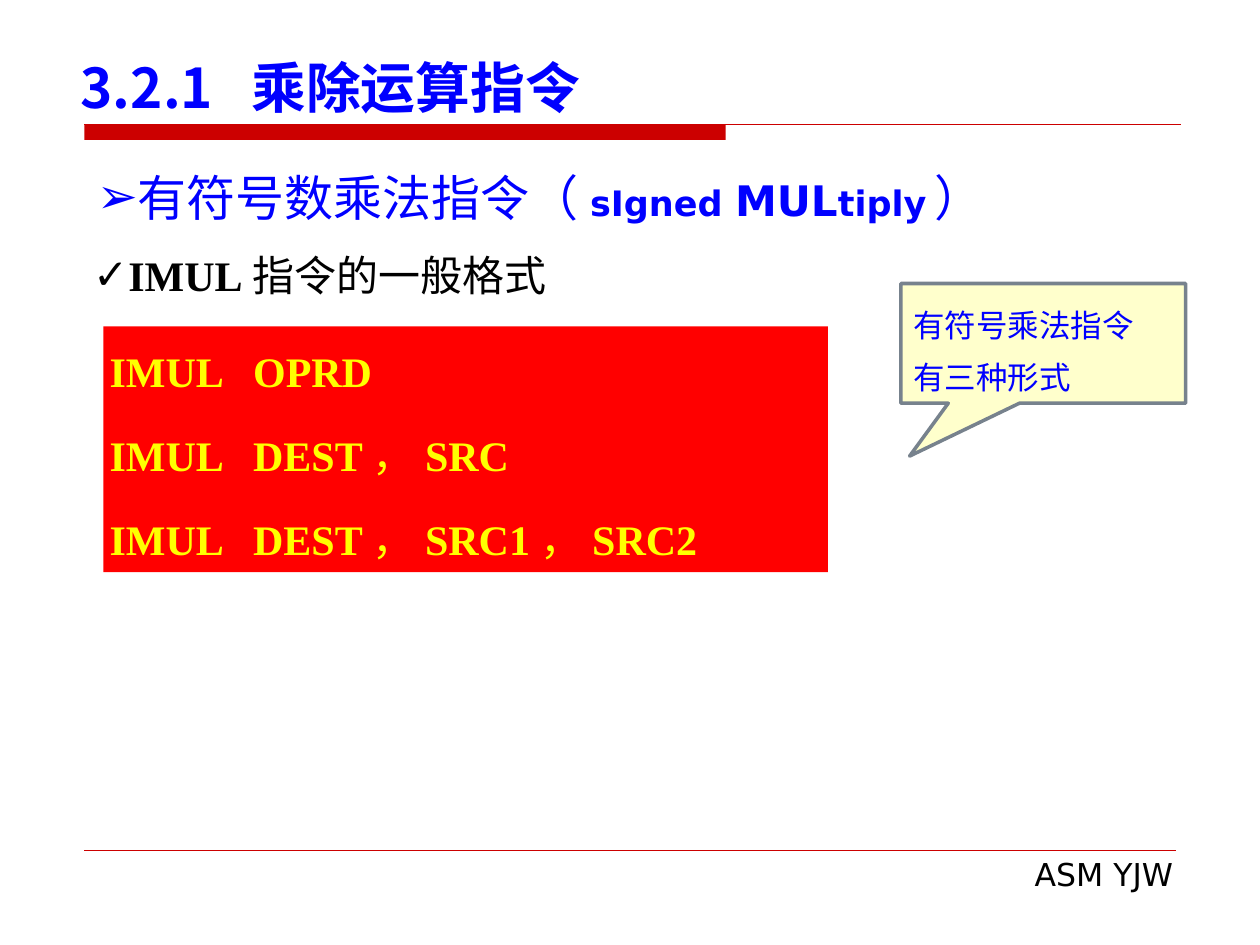
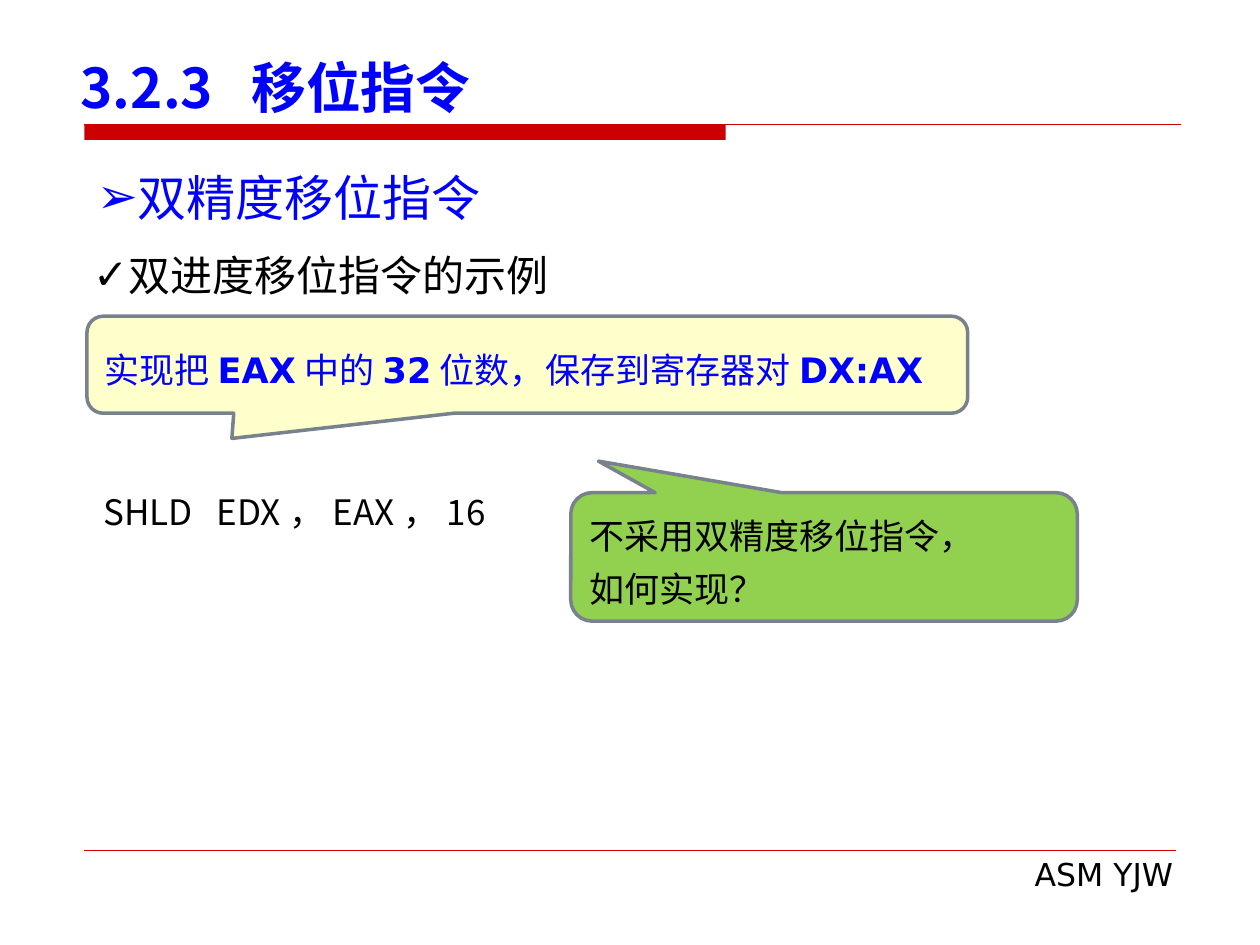
import dataclasses

import pptx
import pptx.dml.color
import pptx.enum.shapes
import pptx.enum.text
import pptx.oxml.ns
import pptx.util
from lxml import etree

Inches = pptx.util.Inches
Pt = pptx.util.Pt
RGBColor = pptx.dml.color.RGBColor
MSO_SHAPE = pptx.enum.shapes.MSO_SHAPE
MSO_ANCHOR = pptx.enum.text.MSO_ANCHOR
PP_ALIGN = pptx.enum.text.PP_ALIGN
qn = pptx.oxml.ns.qn

BLUE = RGBColor(0x00, 0x00, 0xFF)
BLACK = RGBColor(0x00, 0x00, 0x00)
DARK_RED = RGBColor(0xCC, 0x00, 0x00)
RED = RGBColor(0xFF, 0x00, 0x00)
YELLOW = RGBColor(0xFF, 0xFF, 0x00)
CREAM = RGBColor(0xFF, 0xFF, 0xCC)
GREEN = RGBColor(0x92, 0xD0, 0x50)
GREY = RGBColor(0x77, 0x82, 0x8D)

CJK = "Noto Sans CJK SC"
SANS = "DejaVu Sans"
SERIF = "Times New Roman"


@dataclasses.dataclass
class Span:
    text: str
    face: str = CJK
    bold: bool = False
    size: float = None


def code(text):
    return Span(text, SERIF, True)


def strong(text, size=None):
    return Span(text, SANS, True, size)


def style_font(font, span):
    """Set the face for Latin and East Asian letters alike."""
    font.name = span.face
    font.bold = span.bold
    if span.size:
        font.size = Pt(span.size)
    etree.SubElement(font._rPr, qn("a:ea")).set("typeface", span.face)


def add_bullet(paragraph, mark):
    properties = paragraph._p.get_or_add_pPr()
    properties.set("marL", "0")
    properties.set("indent", "0")
    etree.SubElement(properties, qn("a:buFont")).set("typeface", SANS)
    etree.SubElement(properties, qn("a:buChar")).set("char", mark)


def write(shape, lines, size, colour, align=PP_ALIGN.LEFT, anchor=MSO_ANCHOR.TOP,
          inset=0.05, line_spacing=None, space_before=0, bullet=None):
    """Fill a shape with lines, each a list of spans."""
    frame = shape.text_frame
    frame.word_wrap = True
    frame.auto_size = pptx.enum.text.MSO_AUTO_SIZE.NONE
    frame.vertical_anchor = anchor
    frame.margin_left = frame.margin_right = Inches(inset)
    frame.margin_top = frame.margin_bottom = Inches(0.05)
    for index, spans in enumerate(lines):
        paragraph = frame.add_paragraph() if index else frame.paragraphs[0]
        paragraph.alignment = align
        paragraph.space_before = Pt(space_before if index else 0)
        if line_spacing:
            paragraph.line_spacing = Pt(line_spacing)
        if bullet:
            add_bullet(paragraph, bullet)
        paragraph.font.size = Pt(size)
        paragraph.font.color.rgb = colour
        if len(spans) == 1:
            style_font(paragraph.font, spans[0])
        for span in spans:
            run = paragraph.add_run()
            run.text = span.text
            if len(spans) > 1:
                style_font(run.font, span)


def add_text(page, left, top, width, height, lines, size, colour, **layout):
    box = page.shapes.add_textbox(Inches(left), Inches(top), Inches(width), Inches(height))
    write(box, lines, size, colour, **layout)


def add_block(page, kind, left, top, width, height, fill):
    block = page.shapes.add_shape(
        kind, Inches(left), Inches(top), Inches(width), Inches(height))
    block.shadow.inherit = False
    block.fill.solid()
    block.fill.fore_color.rgb = fill
    block.line.fill.background()
    return block


def add_rule(page, right, y, weight):
    rule = page.shapes.add_connector(
        pptx.enum.shapes.MSO_CONNECTOR.STRAIGHT,
        Inches(0.67), Inches(y), Inches(right), Inches(y))
    rule.line.color.rgb = DARK_RED
    rule.line.width = Pt(weight)
    etree.SubElement(rule._element.spPr, qn("a:effectLst"))


def add_callout(page, kind, left, top, width, height, tip, fill, lines, size, colour):
    """Add a speech bubble whose tail ends at tip, an (x, y) pair in inches."""
    callout = add_block(page, kind, left, top, width, height, fill)
    callout.line.color.rgb = GREY
    callout.line.width = Pt(2)
    callout.adjustments[0] = (tip[0] - left) / width - 0.5
    callout.adjustments[1] = (tip[1] - top) / height - 0.5
    write(callout, lines, size, colour, anchor=MSO_ANCHOR.MIDDLE,
          inset=0.1, line_spacing=30)


def add_page(deck, title, topic, subtopic):
    """Add a slide with the shared title, rules, footer and two headings."""
    page = deck.slides.add_slide(deck.slide_layouts[5])
    add_block(page, MSO_SHAPE.RECTANGLE, 0.67, 0.99, 5.09, 0.12, DARK_RED)
    add_rule(page, 9.37, 0.99, 0.75)
    add_rule(page, 9.33, 6.75, 0.25)
    add_text(page, 3.87, 6.74, 5.49, 0.41, [[Span("ASM YJW", SANS)]], 18, BLACK,
             align=PP_ALIGN.RIGHT)

    heading = page.shapes.title
    heading.left, heading.top = Inches(0.59), Inches(0.29)
    heading.width, heading.height = Inches(9.06), Inches(0.71)
    write(heading, [[Span(title, bold=True)]], 31.3, BLUE, anchor=MSO_ANCHOR.BOTTOM)

    add_text(page, 0.72, 1.28, 8.56, 0.66, [topic], 28, BLUE,
             align=PP_ALIGN.JUSTIFY, bullet="➢")
    add_text(page, 0.69, 1.93, 7.23, 0.56, [subtopic], 24, BLACK, bullet="✓")
    return page


def add_multiply_page(deck):
    page = add_page(
        deck, "3.2.1  乘除运算指令",
        [Span("有符号数乘法指令（"), strong("sIgned ", 20), strong("MUL", 24),
         strong("tiply", 20), Span("）")],
        [code("IMUL"), Span("指令的一般格式")])
    comma = Span("，")
    formats = [
        [code("IMUL   OPRD")],
        [code("IMUL   DEST"), comma, code("SRC")],
        [code("IMUL   DEST"), comma, code("SRC1"), comma, code("SRC2")],
    ]
    panel = add_block(page, MSO_SHAPE.RECTANGLE, 0.82, 2.59, 5.75, 1.95, RED)
    write(panel, formats, 24, YELLOW, line_spacing=36, space_before=12)
    add_callout(page, MSO_SHAPE.RECTANGULAR_CALLOUT, 7.15, 2.25, 2.26, 0.95,
                (7.22, 3.62), CREAM,
                [[Span("有符号乘法指令")], [Span("有三种形式")]], 18, BLUE)


def add_shift_page(deck):
    page = add_page(deck, "3.2.3  移位指令", [Span("双精度移位指令")],
                    [Span("双进度移位指令的示例")])
    add_text(page, 0.71, 3.76, 8.9, 0.53, [[Span(" SHLD   EDX，EAX，16")]], 20, BLACK,
             line_spacing=30)
    task = [Span("实现把"), strong("EAX"), Span("中的"), strong("32"),
            Span("位数，保存到寄存器对"), strong("DX:AX")]
    add_callout(page, MSO_SHAPE.ROUNDED_RECTANGULAR_CALLOUT, 0.69, 2.51, 6.99, 0.77,
                (1.84, 3.48), CREAM, [task], 20, BLUE)
    add_callout(page, MSO_SHAPE.ROUNDED_RECTANGULAR_CALLOUT, 4.53, 3.91, 4.02, 1.02,
                (4.75, 3.66), GREEN,
                [[Span("不采用双精度移位指令，")], [Span("如何实现？")]], 20, BLACK)


def main():
    deck = pptx.Presentation()
    deck.slide_width, deck.slide_height = Inches(10), Inches(7.5)
    add_multiply_page(deck)
    add_shift_page(deck)
    deck.save("out.pptx")


if __name__ == "__main__":
    main()
